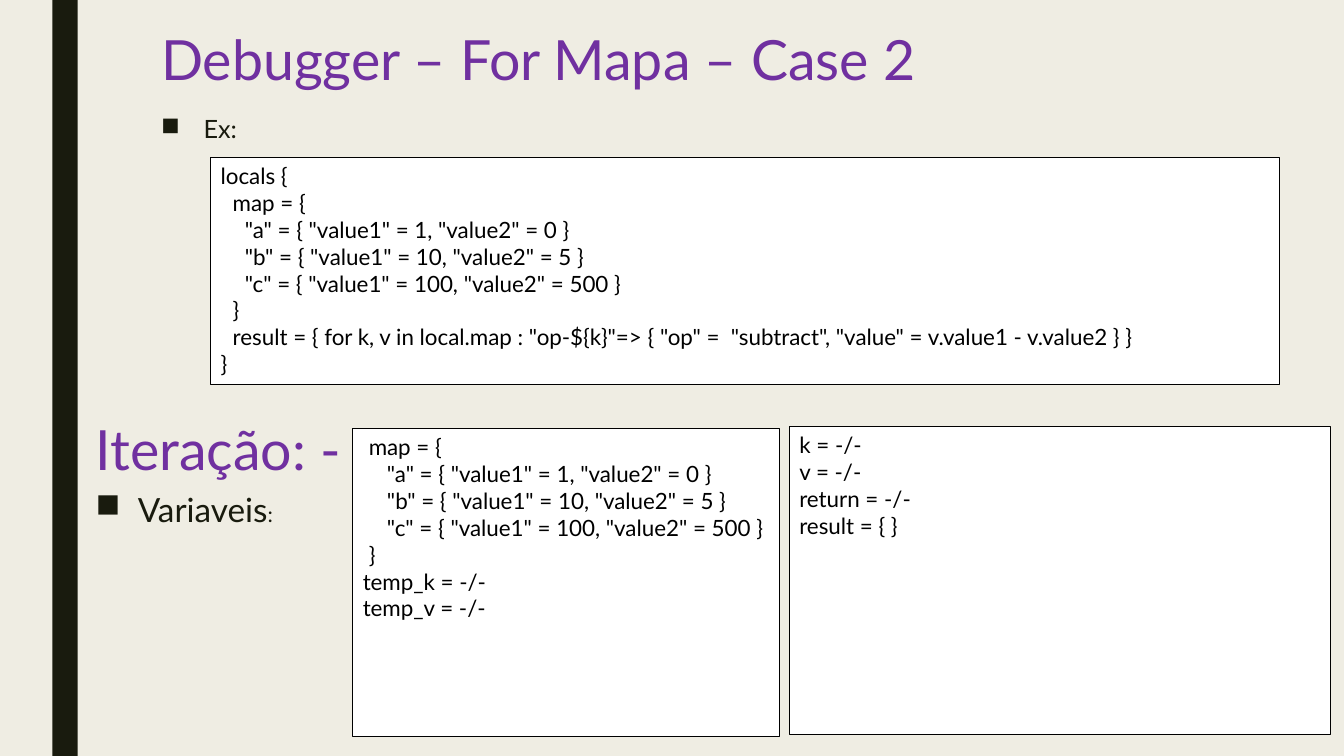
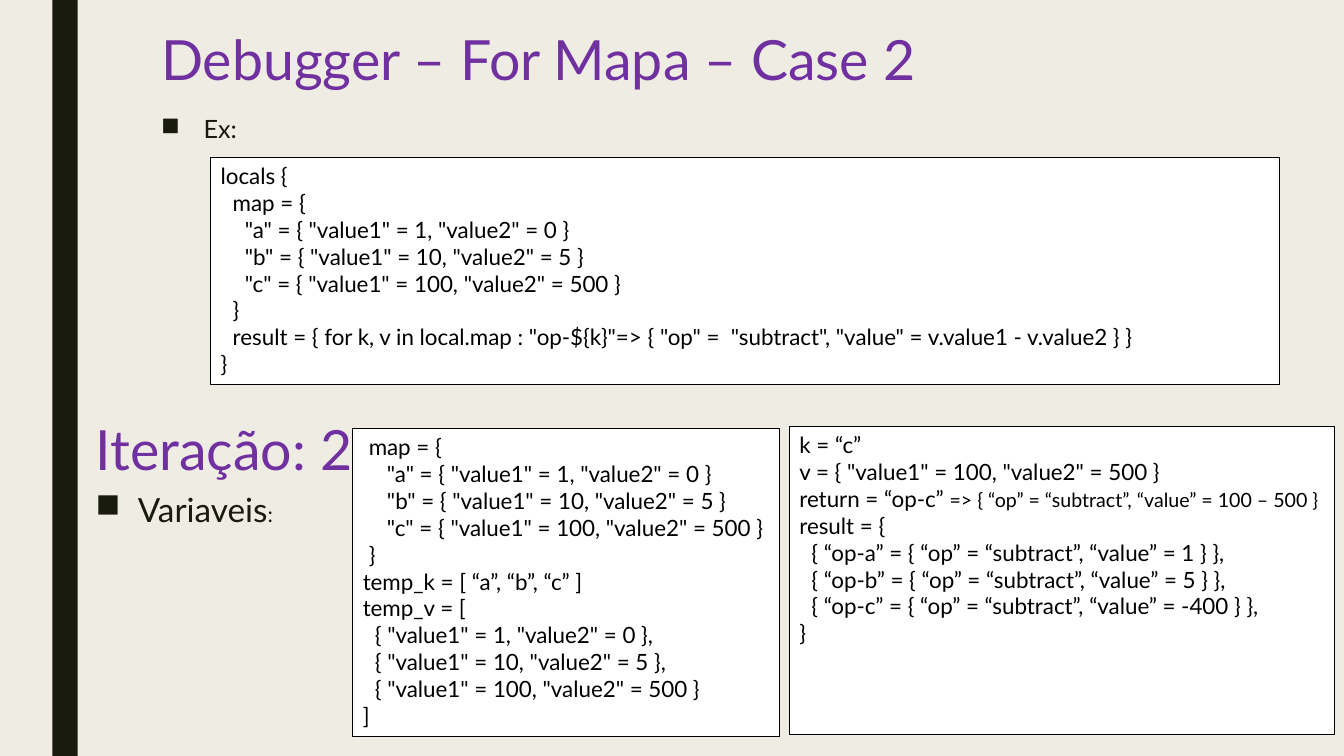
from lxml import etree
from pptx import Presentation
from pptx import util as u
from pptx.dml.color import RGBColor
from pptx.enum import shapes, text
from pptx.oxml.ns import qn

PAPER, INK, PURPLE = "EFEDE3", "191B0E", "7030A0"
WHITE, BLACK = "FFFFFF", "000000"
FONT = "Lato"
CODE_SIZE = 16
SPACE_WIDTH = 0.06  # inches for one column of code indentation
BLANK_LAYOUT = 6

MAP_ENTRIES = [
    '    "a" = { "value1" = 1, "value2" = 0 }',
    '    "b" = { "value1" = 10, "value2" = 5 }',
    '    "c" = { "value1" = 100, "value2" = 500 }',
]
SOURCE_CODE = [
    'locals {',
    '  map = {',
    *MAP_ENTRIES,
    '  }',
    '  result = { for k, v in local.map : "op-${k}"=> '
    '{ "op" =  "subtract", "value" = v.value1 - v.value2 } }',
    '}',
]
MAP_STATE = [' map = {', *MAP_ENTRIES, ' }']


def color(value):
    """Turn a hex string into a colour."""
    return RGBColor.from_string(value)


class Deck:
    """Holds the shared style and the slide being built."""

    def __init__(self):
        """Start a widescreen presentation."""
        self.presentation = Presentation()
        self.presentation.slide_width = u.Inches(13.33)
        self.presentation.slide_height = u.Inches(7.5)
        self.slide = None

    def new_slide(self):
        """Add a slide with the paper background and the dark side band."""
        layout = self.presentation.slide_layouts[BLANK_LAYOUT]
        self.slide = self.presentation.slides.add_slide(layout)
        fill = self.slide.background.fill
        fill.solid()
        fill.fore_color.rgb = color(PAPER)
        self.rectangle(0.52, 0, 0.25, 7.5, INK)

    def rectangle(self, left, top, width, height, fill, line=None):
        """Add a flat rectangle, outlined only when a line colour is given."""
        shape = self.slide.shapes.add_shape(
            shapes.MSO_SHAPE.RECTANGLE, u.Inches(left), u.Inches(top),
            u.Inches(width), u.Inches(height))
        shape.shadow.inherit = False
        shape.fill.solid()
        shape.fill.fore_color.rgb = color(fill)
        if line:
            shape.line.color.rgb = color(line)
            shape.line.width = u.Pt(0.75)
        else:
            shape.line.fill.background()
        return shape

    def run(self, paragraph, wording, size, ink):
        """Append one styled run to a paragraph."""
        run = paragraph.add_run()
        run.text = wording
        run.font.name = FONT
        run.font.size = u.Pt(size)
        run.font.color.rgb = color(ink)

    def text_line(self, left, top, width, height, spacing):
        """Add a one-line text box and return its paragraph."""
        box = self.slide.shapes.add_textbox(
            u.Inches(left), u.Inches(top), u.Inches(width), u.Inches(height))
        box.text_frame.word_wrap = True
        paragraph = box.text_frame.paragraphs[0]
        paragraph.line_spacing = spacing
        return paragraph

    def heading(self, wording, left, top, width, spacing):
        """Add a large purple heading."""
        paragraph = self.text_line(left, top, width, 0.68, spacing)
        self.run(paragraph, wording, 39.6, PURPLE)

    def bullet(self, runs, left, top, width, spacing):
        """Add a square-bulleted line made of (wording, size) runs."""
        paragraph = self.text_line(left, top, width, 0.46, spacing)
        paragraph.space_before, paragraph.space_after = u.Pt(10), u.Pt(2)
        properties = paragraph._p.get_or_add_pPr()
        hang = u.Inches(0.42)
        properties.set("marL", str(hang))
        properties.set("indent", str(-hang))
        etree.SubElement(properties, qn("a:buChar")).set("char", "■")
        for wording, size in runs:
            self.run(paragraph, wording, size, INK)

    def code_box(self, lines, left, top, width, height):
        """Add a white code panel; a line is a string or (wording, size) runs.

        Leading spaces of a line become its paragraph indent.
        """
        frame = self.rectangle(left, top, width, height, WHITE, BLACK).text_frame
        frame.word_wrap = True
        frame.vertical_anchor = text.MSO_ANCHOR.TOP
        for index, line in enumerate(lines):
            paragraph = frame.paragraphs[0] if index == 0 else frame.add_paragraph()
            paragraph.alignment = text.PP_ALIGN.LEFT
            if isinstance(line, str):
                code = line.lstrip()
                columns = len(line) - len(code)
                margin = u.Inches(columns * SPACE_WIDTH)
                paragraph._p.get_or_add_pPr().set("marL", str(margin))
                line = [(code, CODE_SIZE)]
            for wording, size in line:
                self.run(paragraph, wording, size, BLACK)

    def debugger_slide(self, iteration, temporaries, variables, variables_width):
        """Build one debugger step: source code, loop state and variables."""
        self.new_slide()
        self.code_box(SOURCE_CODE, 2.09, 1.56, 10.6, 2.26)
        self.heading("Debugger – For Mapa – Case 2", 1.5, 0.28, 10.5, 0.89)
        self.bullet([("Ex:", 18)], 1.5, 1.1, 1.19, 0.94)
        self.code_box(MAP_STATE + temporaries, 3.5, 4.25, 4.23, 3.06)
        self.heading(f"Iteração: {iteration}", 0.85, 4.2, 2.79, 0.79)
        self.bullet([("Variaveis", 23.8), (":", 15.3)], 0.85, 4.87, 2, 0.84)
        self.code_box(variables, 7.83, 4.23, variables_width, 3.06)


deck = Deck()
deck.debugger_slide(
    "-",
    ["temp_k = -/-", "temp_v = -/-"],
    ["k = -/-", "v = -/-", "return = -/-", "result = { }"],
    5.37)

results = [("a", 1), ("b", 5), ("c", -400)]
deck.debugger_slide(
    "2",
    [
        "temp_k = [ “a”, “b”, “c” ]",
        "temp_v = [",
        '  { "value1" = 1, "value2" = 0 },',
        '  { "value1" = 10, "value2" = 5 },',
        '  { "value1" = 100, "value2" = 500 }',
        "]",
    ],
    [
        "k = “c”",
        'v = { "value1" = 100, "value2" = 500 }',
        [("return = “op-c” ", CODE_SIZE),
         ("=> { “op” = “subtract”, “value” = 100 – 500 }", 14)],
        "result = {",
        *[f"  {{ “op-{key}” = {{ “op” = “subtract”, “value” = {value} }} }},"
          for key, value in results],
        "}",
    ],
    5.41)

deck.presentation.save("out.pptx")
